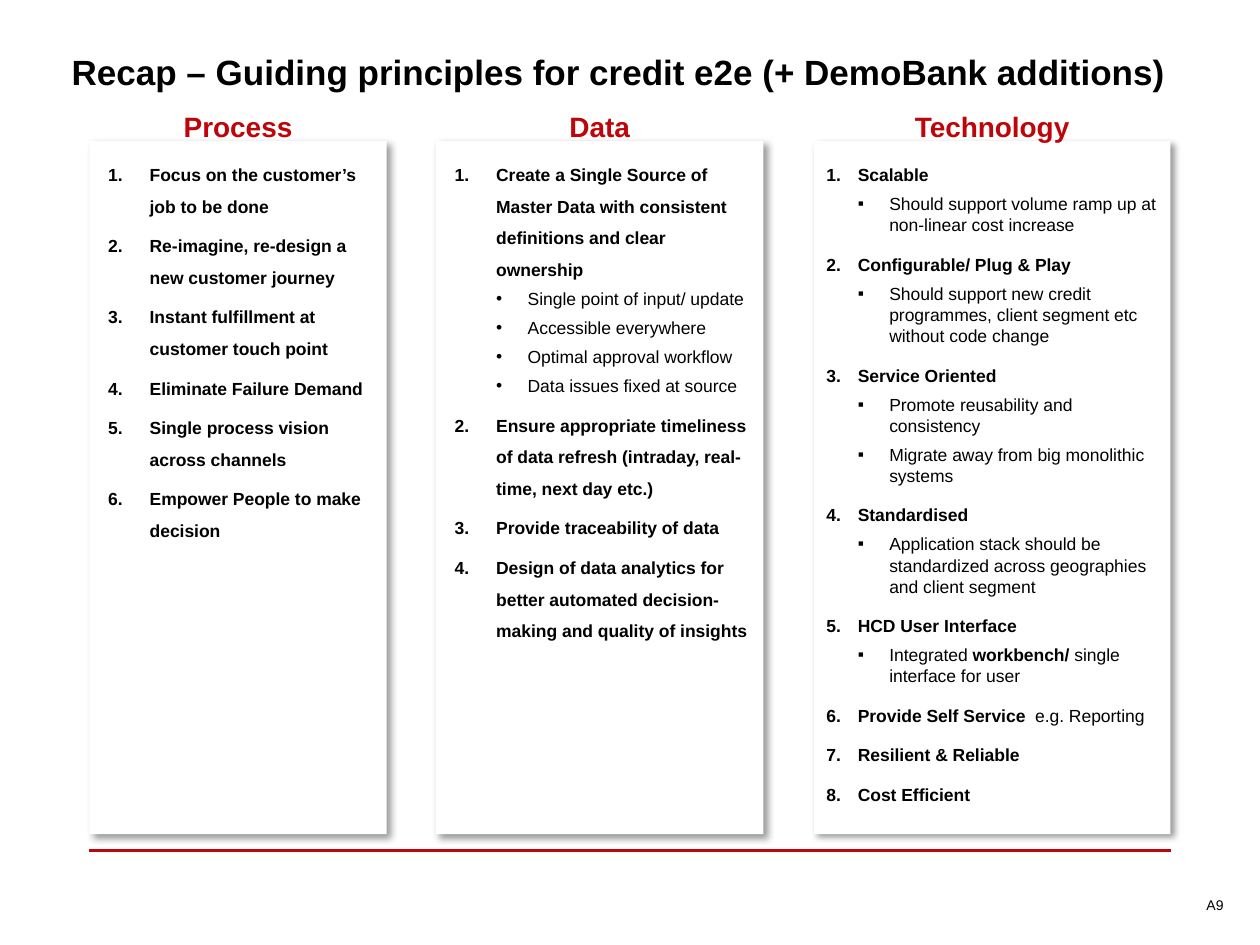
import pptx
import pptx.dml.color
import pptx.enum.shapes
import pptx.enum.text
import pptx.oxml
import pptx.oxml.ns
import pptx.util
from lxml import etree

Inches = pptx.util.Inches
Pt = pptx.util.Pt
qn = pptx.oxml.ns.qn
Align = pptx.enum.text.PP_ALIGN
Anchor = pptx.enum.text.MSO_ANCHOR

THEME = {
    "font": "Arial", "red": "BE050A", "black": "000000", "white": "FFFFFF",
    "title": 20, "head": 16, "body": 10, "page": 8,
}

TITLE = "Recap – Guiding principles for credit e2e (+ DemoBank additions)"
PAGE = "A9"

COLS = [
    {"head": "Process", "left": 0.71, "width": 2.36, "bullet": "•",
     "item": (0.38, 0.33), "sub": (0.63, 0.25),
     "list": [
         ("Focus on the customer’s job to be done", []),
         ("Re-imagine, re-design a new customer journey", []),
         ("Instant fulfillment at customer touch point", []),
         ("Eliminate Failure Demand", []),
         ("Single process vision across channels", []),
         ("Empower People to make decision", []),
     ]},
    {"head": "Data", "left": 3.46, "width": 2.6, "bullet": "•",
     "item": (0.38, 0.33), "sub": (0.63, 0.25),
     "list": [
         ("Create a Single Source of Master Data with consistent "
          "definitions and clear ownership",
          ["Single point of input/ update", "Accessible everywhere",
           "Optimal approval workflow", "Data issues fixed at source"]),
         ("Ensure appropriate timeliness of data refresh "
          "(intraday, real-time, next day etc.)", []),
         ("Provide traceability of data", []),
         ("Design of data analytics for better automated "
          "decision-making and quality of insights", []),
     ]},
    {"head": "Technology", "left": 6.46, "width": 2.83, "bullet": "▪",
     "item": (0.25, 0.25), "sub": (0.5, 0.25),
     "list": [
         ("Scalable",
          ["Should support volume ramp up at non-linear cost increase"]),
         ("Configurable/ Plug & Play",
          ["Should support new credit programmes, client segment etc "
           "without code change"]),
         ("Service Oriented",
          ["Promote reusability and consistency",
           "Migrate away from big monolithic systems"]),
         ("Standardised",
          ["Application stack should be standardized across geographies "
           "and client segment"]),
         ("HCD User Interface",
          [[("Integrated", False), (" workbench/ ", True),
            ("single interface for user", False)]]),
         ([("Provide Self Service  ", True), ("e.g. Reporting", False)], []),
         ("Resilient & Reliable", []),
         ("Cost Efficient", []),
     ]},
]

TOP, HIGH = 1.12, 5.5


def color(name):
    return pptx.dml.color.RGBColor.from_string(THEME[name])


def style(font, size, bold, tint="black"):
    font.name = THEME["font"]
    font.size = Pt(THEME[size])
    font.bold = bold
    font.color.rgb = color(tint)


def label(slide, box, text, size, bold, tint, align, anchor):
    frame = slide.shapes.add_textbox(*map(Inches, box)).text_frame
    frame.word_wrap = True
    frame.vertical_anchor = anchor
    para = frame.paragraphs[0]
    para.text = text
    para.alignment = align
    style(para.font, size, bold, tint)


def write(para, text, bold, level, indent, mark):
    para.level = level
    para.alignment = Align.LEFT
    para.line_spacing = 1.0 if level else 1.5
    para.space_before = Pt(3)
    para.space_after = Pt(1.6)
    props = para._p.get_or_add_pPr()
    left, hang = indent
    props.set("marL", str(Inches(left)))
    props.set("indent", str(-Inches(hang)))
    face = etree.SubElement(props, qn("a:buFont"))
    face.set("typeface", THEME["font"])
    if level:
        etree.SubElement(props, qn("a:buChar")).set("char", mark)
    else:
        etree.SubElement(props, qn("a:buAutoNum")).set("type", "arabicPeriod")
    if isinstance(text, str):
        para.text = text
        style(para.font, "body", bold)
        return
    for part, heavy in text:
        run = para.add_run()
        run.text = part
        style(run.font, "body", heavy)


def shade(shape):
    shape.shadow.inherit = False
    glow = shape._element.spPr.find(qn("a:effectLst"))
    drop = etree.SubElement(
        glow, qn("a:outerShdw"), blurRad=str(Pt(4)), dist=str(Pt(3)),
        dir="2700000", algn="tl", rotWithShape="0")
    tone = etree.SubElement(drop, qn("a:srgbClr"), val=THEME["black"])
    etree.SubElement(tone, qn("a:alpha"), val="40000")


def panel(slide, col):
    box = (col["left"], TOP, col["width"], HIGH)
    shape = slide.shapes.add_shape(
        pptx.enum.shapes.MSO_SHAPE.RECTANGLE, *map(Inches, box))
    shape.fill.solid()
    shape.fill.fore_color.rgb = color("white")
    shape.line.fill.background()
    shade(shape)
    frame = shape.text_frame
    frame.word_wrap = True
    frame.vertical_anchor = Anchor.TOP
    frame.margin_left = frame.margin_right = frame.margin_top = Inches(0.1)
    frame.margin_bottom = Inches(0.6)
    rows = []
    for item, subs in col["list"]:
        rows.append((item, True, 0, col["item"]))
        rows += [(sub, False, 1, col["sub"]) for sub in subs]
    for spot, row in enumerate(rows):
        para = frame.add_paragraph() if spot else frame.paragraphs[0]
        write(para, *row, col["bullet"])


def rule(slide):
    line = slide.shapes.add_connector(
        pptx.enum.shapes.MSO_CONNECTOR.STRAIGHT,
        *map(Inches, (0.71, 6.75, 9.29, 6.75)))
    line.line.color.rgb = color("red")
    line.line.width = Pt(1.5)
    etree.SubElement(line._element.spPr, qn("a:effectLst"))


def main():
    deck = pptx.Presentation()
    deck.slide_width, deck.slide_height = Inches(10), Inches(7.5)
    slide = deck.slides.add_slide(deck.slide_layouts[6])
    rule(slide)
    label(slide, (0.47, 0.24, 9.29, 0.65), TITLE, "title", True, "black",
          Align.LEFT, Anchor.MIDDLE)
    for col in reversed(COLS):
        panel(slide, col)
    for col in COLS:
        label(slide, (col["left"], 0.82, col["width"], 0.37), col["head"],
              "head", True, "red", Align.CENTER, Anchor.TOP)
    label(slide, (8.64, 6.97, 1.17, 0.42), PAGE, "page", False, "black",
          Align.RIGHT, Anchor.MIDDLE)
    deck.save("out.pptx")


if __name__ == "__main__":
    main()
